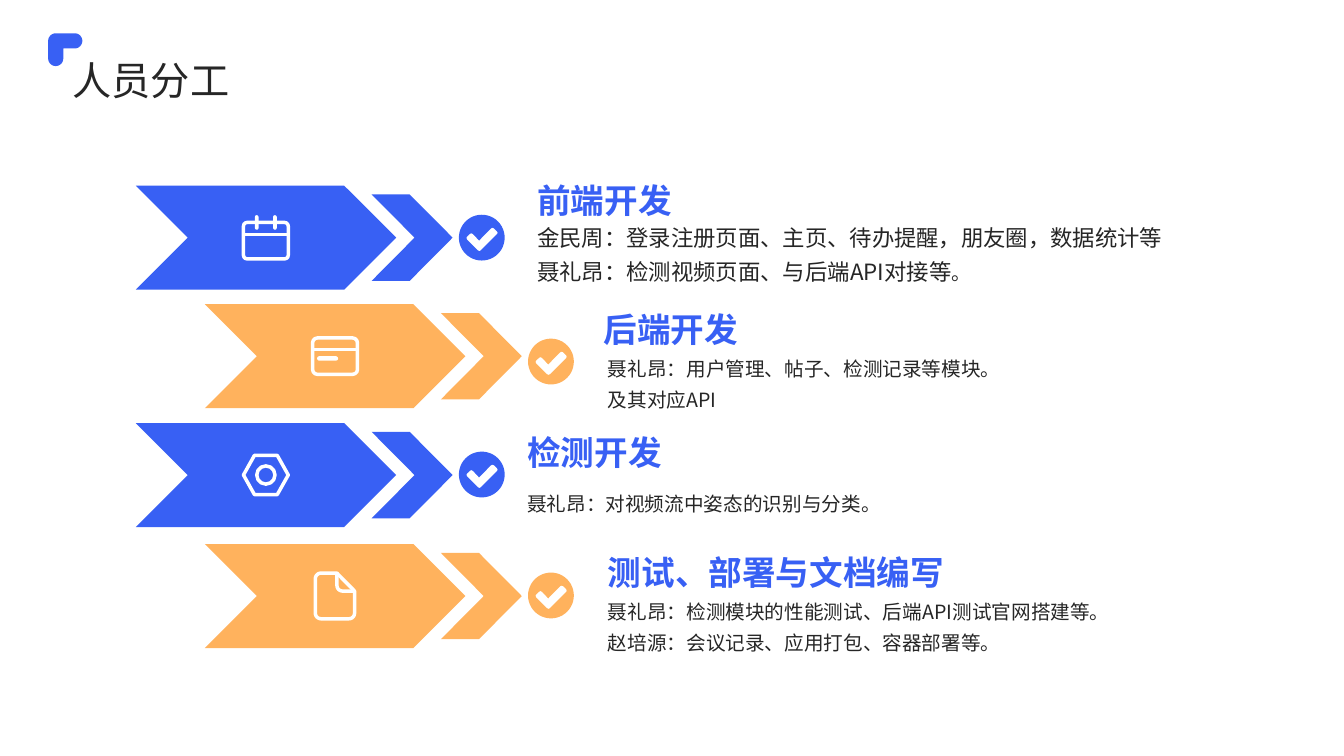
from math import hypot, sqrt

from lxml.etree import SubElement
from pptx import Presentation
from pptx.dml.color import RGBColor
from pptx.enum.lang import MSO_LANGUAGE_ID as LANG
from pptx.enum.shapes import MSO_CONNECTOR as CONN, MSO_SHAPE as SHAPE
from pptx.enum.text import MSO_ANCHOR as ANCHOR
from pptx.oxml.ns import qn
from pptx.util import Pt

COLORS = {"blue": "3860F4", "orange": "FFB25D", "white": "FFFFFF", "ink": "262626"}
FONT = "Noto Sans CJK SC"
ICON_LINE = 2.5
TEXT_W = 492.5
CHECK = [(27.2, 12), (25, 9.8), (23.8, 9.4), (22.8, 10), (14.4, 18.6), (9.9, 13.8),
         (8.8, 13.3), (7.9, 13.8), (5.8, 15.8), (5.4, 16.6), (5.8, 17.6),
         (13.6, 25.4), (14.6, 25.9), (15.6, 25.4), (27.2, 13.8), (27.6, 13)]


def rgb(color):
    return RGBColor.from_string(COLORS[color])


def paint(sp, fill=None, line=None):
    sp.shadow.inherit = False
    if fill:
        sp.fill.solid()
        sp.fill.fore_color.rgb = rgb(fill)
    else:
        sp.fill.background()
    if line:
        sp.line.color.rgb = rgb(line)
        sp.line.width = Pt(ICON_LINE)
    else:
        sp.line.fill.background()


def shape(s, kind, x, y, w, h, fill=None, line=None, adj=None):
    sp = s.shapes.add_shape(kind, Pt(x), Pt(y), Pt(w), Pt(h))
    if adj is not None:
        sp.adjustments[0] = adj
    paint(sp, fill, line)


def outline(s, x, y, points, fill=None, line=None, close=True):
    pts = [(Pt(x + px), Pt(y + py)) for px, py in points]
    fb = s.shapes.build_freeform(*pts[0])
    fb.add_line_segments(pts[1:], close=close)
    paint(fb.convert_to_shape(), fill, line)


def stroke(s, x1, y1, x2, y2):
    ln = s.shapes.add_connector(CONN.STRAIGHT, Pt(x1), Pt(y1), Pt(x2), Pt(y2))
    ln.line.color.rgb = rgb("white")
    ln.line.width = Pt(ICON_LINE)
    SubElement(ln._element.spPr, qn("a:effectLst"))


def rounded(corners, steps=8):
    """Points of a polygon whose (x, y, radius) corners are turned into arcs."""
    pts = []
    for i, (x, y, radius) in enumerate(corners):
        if not radius:
            pts.append((x, y))
            continue
        ends = []
        for nx, ny, _ in (corners[i - 1], corners[(i + 1) % len(corners)]):
            k = radius / hypot(nx - x, ny - y)
            ends.append((x + (nx - x) * k, y + (ny - y) * k))
        (ax, ay), (bx, by) = ends
        for n in range(steps + 1):
            t = n / steps
            a, m, b = (1 - t) ** 2, sqrt(2) * t * (1 - t), t * t
            pts.append(((a * ax + m * x + b * bx) / (a + m + b),
                        (a * ay + m * y + b * by) / (a + m + b)))
    return pts


def text(s, x, y, w, h, paras, color, bold=False, anchor=ANCHOR.TOP, spacing=1.0, gap=0):
    """Text box; paras is a list of paragraphs, each a list of (text, size) runs."""
    tf = s.shapes.add_textbox(Pt(x), Pt(y), Pt(w), Pt(h)).text_frame
    tf.word_wrap = True
    tf.vertical_anchor = anchor
    tf.margin_left = tf.margin_right = tf.margin_top = tf.margin_bottom = 0
    for i, runs in enumerate(paras):
        p = tf.add_paragraph() if i else tf.paragraphs[0]
        p.line_spacing = spacing
        if i:
            p.space_before = Pt(gap)
        for words, size in runs:
            r = p.add_run()
            r.text = words
            r.font.size = Pt(size)
            r.font.bold = bold
            r.font.color.rgb = rgb(color)
            r.font.name = FONT
            r.font.language_id = LANG.SIMPLIFIED_CHINESE
            SubElement(r._r.get_or_add_rPr(), qn("a:ea"), typeface=FONT)


# Each icon is drawn around its centre (x, y).
def calendar_icon(s, x, y):
    shape(s, SHAPE.ROUNDED_RECTANGLE, x - 16, y - 10.8, 32, 26, line="white", adj=0.1)
    stroke(s, x - 16, y - 2.2, x + 16, y - 2.2)
    for dx in (-6.5, 6.5):
        shape(s, SHAPE.ROUNDED_RECTANGLE, x + dx - 1.3, y - 16, 2.6, 10.4, "white", adj=0.5)


def card_icon(s, x, y):
    shape(s, SHAPE.ROUNDED_RECTANGLE, x - 16, y - 13, 32, 26, line="white", adj=0.13)
    stroke(s, x - 16, y - 4.6, x + 16, y - 4.6)
    shape(s, SHAPE.ROUNDED_RECTANGLE, x - 12.8, y, 15, 3.2, "white", adj=0.5)


def nut_icon(s, x, y):
    shape(s, SHAPE.HEXAGON, x - 16, y - 14, 32, 28, line="white", adj=0.28)
    shape(s, SHAPE.OVAL, x - 6.5, y - 6.5, 13, 13, line="white")


def file_icon(s, x, y):
    page = [(-14, -16.3, 4), (1.4, -16.3, 0), (14, -3.5, 0), (14, 16.3, 4), (-14, 16.3, 4)]
    outline(s, x, y, rounded(page), line="white")
    # The arc at the fold's inner corner is the third to the third-last point.
    fold = rounded([(1.4, -16.3, 0), (1.4, -3.5, 4), (14, -3.5, 0)])
    outline(s, x, y, fold, line="white", close=False)


def header(s, x, y, title):
    mark = [(0, 0, 5.4), (24.4, 0, 5.4), (24.4, 10.8, 5.4), (10.8, 10.8, 0),
            (10.8, 23.4, 5.4), (0, 23.4, 5.4)]
    outline(s, x, y, rounded(mark), "blue")
    text(s, x + 17.5, y + 13, 840, 36.7, [[(title, 28)]], "ink",
         anchor=ANCHOR.MIDDLE, spacing=1.1)


def arrow(s, x, y, color, icon, check_dy):
    shape(s, SHAPE.CHEVRON, x, y, 186, 74.3, color, adj=0.5)
    shape(s, SHAPE.CHEVRON, x + 168.5, y + 6.3, 57.8, 61.7, color, adj=0.53)
    shape(s, SHAPE.OVAL, x + 230.8, y + check_dy, 32.7, 32.7, color)
    outline(s, x + 230.8, y + check_dy, CHECK, "white")
    icon(s, x + 92.9, y + 37.1)


def duty(s, heading, heading_at, body, body_at):
    text(s, *heading_at, TEXT_W, 27.4, [[(heading, 24)]], "blue", True, ANCHOR.MIDDLE)
    text(s, *body_at, TEXT_W, 48.2, body, "ink", gap=5)


DUTIES = [
    (132.6, calendar_icon, 20.8, "前端开发", (383.8, 128.9),
     [[("金民周：登录注册页面、主页、待办提醒，朋友圈，数据统计等", 16)],
      [("聂礼昂：检测视频页面、与后端API对接等", 16), ("。", 14)]], (383.8, 160)),
    (217.3, card_icon, 24.6, "后端开发", (431.3, 221),
     [[("聂礼昂：用户管理、帖子、检测记录等模块。", 14)],
      [("及其对应API", 14)]], (434.2, 255.2)),
    (302.2, nut_icon, 20.4, "检测开发", (376.6, 308.9),
     [[("聂礼昂：对视频流中姿态的识别与分类。", 14)]], (376.6, 351.7)),
    (388.6, file_icon, 20.4, "测试、部署与文档编写", (434.2, 394.6),
     [[("聂礼昂：检测模块的性能测试、后端API测试官网搭建等。", 14)],
      [("赵培源：会议记录、应用打包、容器部署等。", 14)]], (434.2, 428.8)),
]


def main():
    prs = Presentation()
    prs.slide_width, prs.slide_height = Pt(960), Pt(540)
    s = prs.slides.add_slide(prs.slide_layouts[6])
    for i, (y, icon, check_dy, heading, heading_at, body, body_at) in enumerate(DUTIES):
        arrow(s, 97 + i % 2 * 49.4, y, ("blue", "orange")[i % 2], icon, check_dy)
        duty(s, heading, heading_at, body, body_at)
    header(s, 34.4, 23.8, "人员分工")
    prs.save("out.pptx")


if __name__ == "__main__":
    main()
